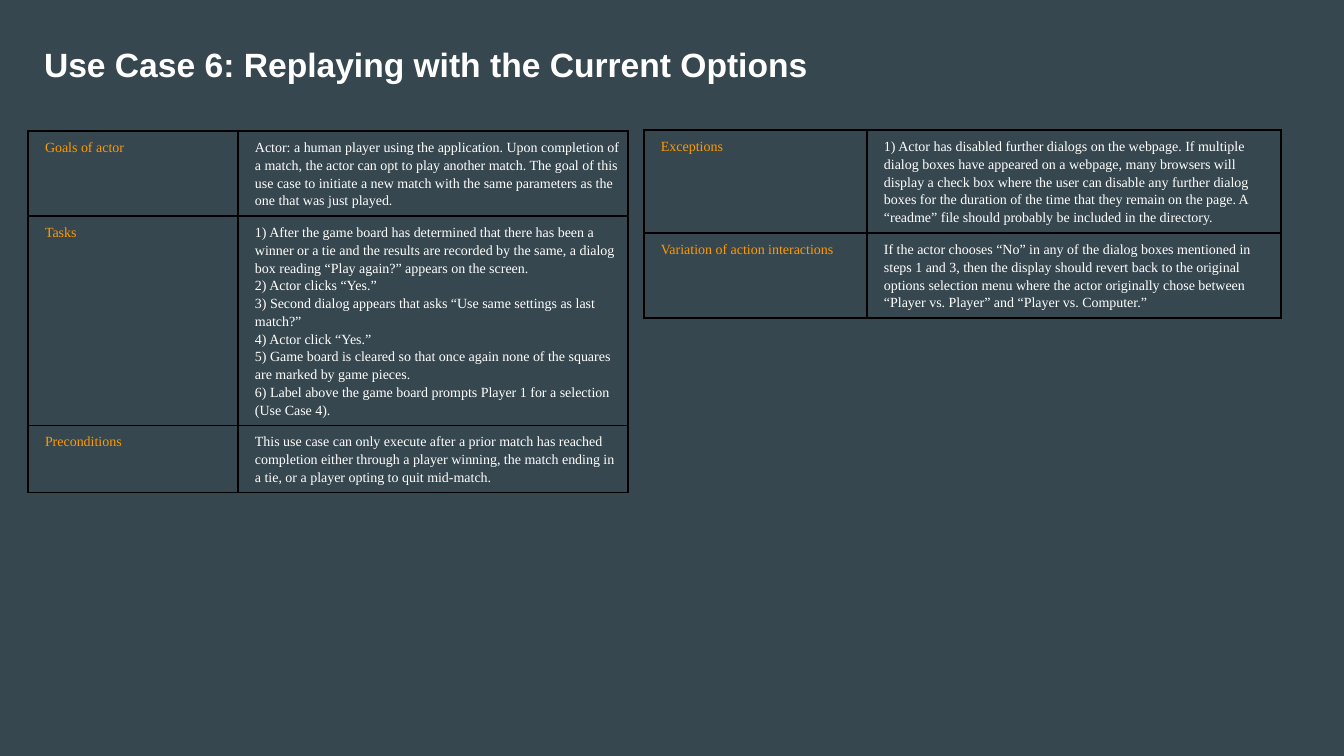
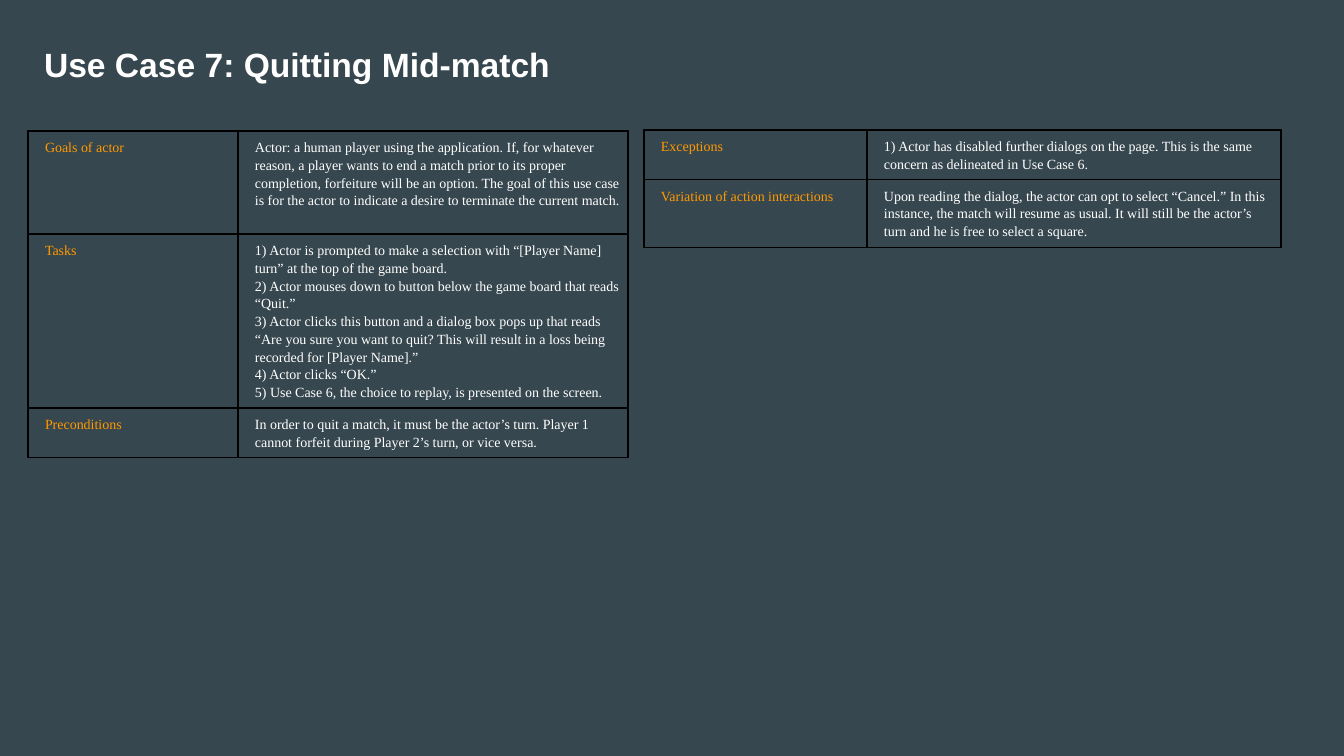
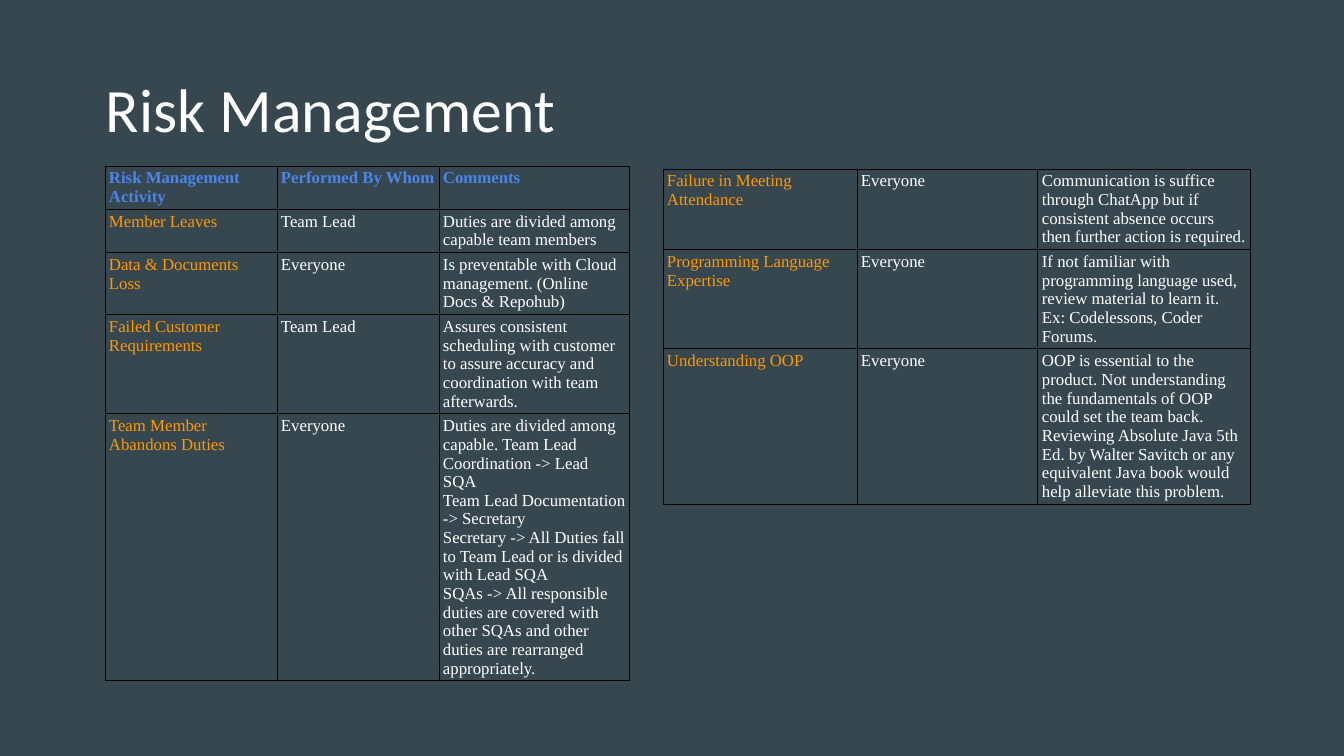
from lxml import etree
from pptx import Presentation
from pptx import util as u
from pptx.dml.color import RGBColor
from pptx.enum import text
from pptx.oxml.ns import qn

EMU_PER_PX = 914400 / 100.8
BACKGROUND = "37474F"
WHITE = "FFFFFF"
ORANGE = "FF9900"
BLUE = "4A86E8"
BLACK = "000000"
SERIF = "Times New Roman"

USE_CASE_STYLE = dict(size=10, inset=(7, 7), border=1, indent=10, spacing=1.15)
RISK_STYLE = dict(size=12, inset=(4, 3), border=0.75)

USE_CASES = [
    dict(
        title="Use Case 6: Replaying with the Current Options",
        main_heights=[85, 209, 67],
        main_rows=[
            ["Goals of actor", "Actor: a human player using the application. Upon completion of a match, the actor can opt to play another match. The goal of this use case to initiate a new match with the same parameters as the one that was just played."],
            ["Tasks", [
                "1) After the game board has determined that there has been a winner or a tie and the results are recorded by the same, a dialog box reading “Play again?” appears on the screen.",
                "2) Actor clicks “Yes.”",
                "3) Second dialog appears that asks “Use same settings as last match?”",
                "4) Actor click “Yes.”",
                "5) Game board is cleared so that once again none of the squares are marked by game pieces.",
                "6) Label above the game board prompts Player 1 for a selection (Use Case 4).",
            ]],
            ["Preconditions", "This use case can only execute after a prior match has reached completion either through a player winning, the match ending in a tie, or a player opting to quit mid-match."],
        ],
        side_heights=[103, 84],
        side_rows=[
            ["Exceptions", "1) Actor has disabled further dialogs on the webpage. If multiple dialog boxes have appeared on a webpage, many browsers will display a check box where the user can disable any further dialog boxes for the duration of the time that they remain on the page. A “readme” file should probably be included in the directory."],
            ["Variation of action interactions", "If the actor chooses “No” in any of the dialog boxes mentioned in steps 1 and 3, then the display should revert back to the original options selection menu where the actor originally chose between “Player vs. Player” and “Player vs. Computer.”"],
        ],
    ),
    dict(
        title="Use Case 7: Quitting Mid-match",
        main_heights=[103, 174, 49],
        main_rows=[
            ["Goals of actor", "Actor: a human player using the application. If, for whatever reason, a player wants to end a match prior to its proper completion, forfeiture will be an option. The goal of this use case is for the actor to indicate a desire to terminate the current match."],
            ["Tasks", [
                "1) Actor is prompted to make a selection with “[Player Name] turn” at the top of the game board.",
                "2) Actor mouses down to button below the game board that reads “Quit.”",
                "3) Actor clicks this button and a dialog box pops up that reads “Are you sure you want to quit? This will result in a loss being recorded for [Player Name].”",
                "4) Actor clicks “OK.”",
                "5) Use Case 6, the choice to replay, is presented on the screen.",
            ]],
            ["Preconditions", "In order to quit a match, it must be the actor’s turn. Player 1 cannot forfeit during Player 2’s turn, or vice versa."],
        ],
        side_heights=[49, 68],
        side_rows=[
            ["Exceptions", "1) Actor has disabled further dialogs on the page. This is the same concern as delineated in Use Case 6."],
            ["Variation of action interactions", "Upon reading the dialog, the actor can opt to select “Cancel.” In this instance, the match will resume as usual. It will still be the actor’s turn and he is free to select a square."],
        ],
    ),
]

RISK_HEADER = ["Risk Management Activity", "Performed By Whom", "Comments"]
TEAM_RISKS = [
    ["Member Leaves", "Team Lead", "Duties are divided among capable team members"],
    ["Data & Documents Loss", "Everyone", "Is preventable with Cloud management. (Online Docs & Repohub)"],
    ["Failed Customer Requirements", "Team Lead", "Assures consistent scheduling with customer to assure accuracy and coordination with team afterwards."],
    ["Team Member Abandons Duties", "Everyone", [
        "Duties are divided among capable. Team Lead Coordination -> Lead SQA",
        "Team Lead Documentation -> Secretary",
        "Secretary -> All Duties fall to Team Lead or is divided with Lead SQA",
        "SQAs -> All responsible duties are covered with other SQAs and other duties are rearranged appropriately.",
    ]],
]
SKILL_RISKS = [
    ["Failure in Meeting Attendance", "Everyone", "Communication is suffice through ChatApp but if consistent absence occurs then further action is required."],
    ["Programming Language Expertise", "Everyone", "If not familiar with programming language used, review material to learn it. Ex: Codelessons, Coder Forums."],
    ["Understanding OOP", "Everyone", "OOP is essential to the product. Not understanding the fundamentals of OOP could set the team back. Reviewing Absolute Java 5th Ed. by Walter Savitch or any equivalent Java book would help alleviate this problem."],
]


def px(length):
    return u.Emu(round(length * EMU_PER_PX))


def color(code):
    return RGBColor.from_string(code)


def write(frame, content, *, size, font=SERIF, fill=WHITE, bold=False, indent=0, spacing=None):
    lines = [content] if isinstance(content, str) else content
    for index, line in enumerate(lines):
        para = frame.paragraphs[0] if index == 0 else frame.add_paragraph()
        para.alignment = text.PP_ALIGN.LEFT
        para.line_spacing = spacing
        if indent:
            para._p.get_or_add_pPr().set("marL", str(px(indent)))
        span = para.add_run()
        span.text = line
        span.font.size = u.Pt(size)
        span.font.name = font
        span.font.bold = bold
        span.font.color.rgb = color(fill)


def set_insets(holder, across, down):
    holder.margin_left = holder.margin_right = px(across)
    holder.margin_top = holder.margin_bottom = px(down)


def add_borders(cell, width):
    properties = cell._tc.get_or_add_tcPr()
    for index, side in enumerate(("lnL", "lnR", "lnT", "lnB")):
        line = etree.Element(qn("a:" + side), w=str(u.Pt(width)))
        solid = etree.SubElement(line, qn("a:solidFill"))
        etree.SubElement(solid, qn("a:srgbClr"), val=BLACK)
        properties.insert(index, line)


def add_grid(page, left, top, widths, heights, rows, *, inset, border, header=False, **style):
    shape = page.shapes.add_table(len(rows), len(widths), px(left), px(top),
                                  px(sum(widths)), px(sum(heights)))
    table = shape.table
    table.first_row = header
    table.horz_banding = False
    for column, width in zip(table.columns, widths):
        column.width = px(width)
    for row, height in zip(table.rows, heights):
        row.height = px(height)
    for row_index, contents in enumerate(rows):
        is_header = header and row_index == 0
        for column_index, content in enumerate(contents):
            cell = table.cell(row_index, column_index)
            cell.fill.background()
            add_borders(cell, border)
            set_insets(cell, *inset)
            fill = BLUE if is_header else WHITE if column_index else ORANGE
            write(cell.text_frame, content, fill=fill, bold=is_header, **style)


def add_page(deck, title, left, top, height, **style):
    page = deck.slides.add_slide(deck.slide_layouts[5])
    box = page.shapes.title
    box.left, box.top, box.width, box.height = px(left), px(top), px(1159), px(height)
    frame = box.text_frame
    frame.auto_size = text.MSO_AUTO_SIZE.NONE
    frame.word_wrap = True
    frame.vertical_anchor = text.MSO_ANCHOR.MIDDLE
    set_insets(frame, 13, 13)
    write(frame, title, spacing=0.9, **style)
    return page


def add_use_case(deck, case):
    page = add_page(deck, case["title"], 31, 29, 76, size=24, font="Arial", bold=True)
    add_grid(page, 28, 131, [210, 390], case["main_heights"], case["main_rows"], **USE_CASE_STYLE)
    add_grid(page, 644, 130, [223, 414], case["side_heights"], case["side_rows"], **USE_CASE_STYLE)


def add_risks(deck):
    page = add_page(deck, "Risk Management", 93, 40, 146, size=44, font="Calibri")
    add_grid(page, 105, 166, [172, 162, 191], [42, 43, 61, 98, 266],
             [RISK_HEADER] + TEAM_RISKS, header=True, **RISK_STYLE)
    add_grid(page, 663, 169, [194, 181, 213], [80, 79, 155], SKILL_RISKS, **RISK_STYLE)


def main():
    deck = Presentation()
    deck.slide_width, deck.slide_height = px(1344), px(756)
    backdrop = deck.slide_master.background.fill
    backdrop.solid()
    backdrop.fore_color.rgb = color(BACKGROUND)
    for case in USE_CASES:
        add_use_case(deck, case)
    add_risks(deck)
    deck.save("out.pptx")


if __name__ == "__main__":
    main()
